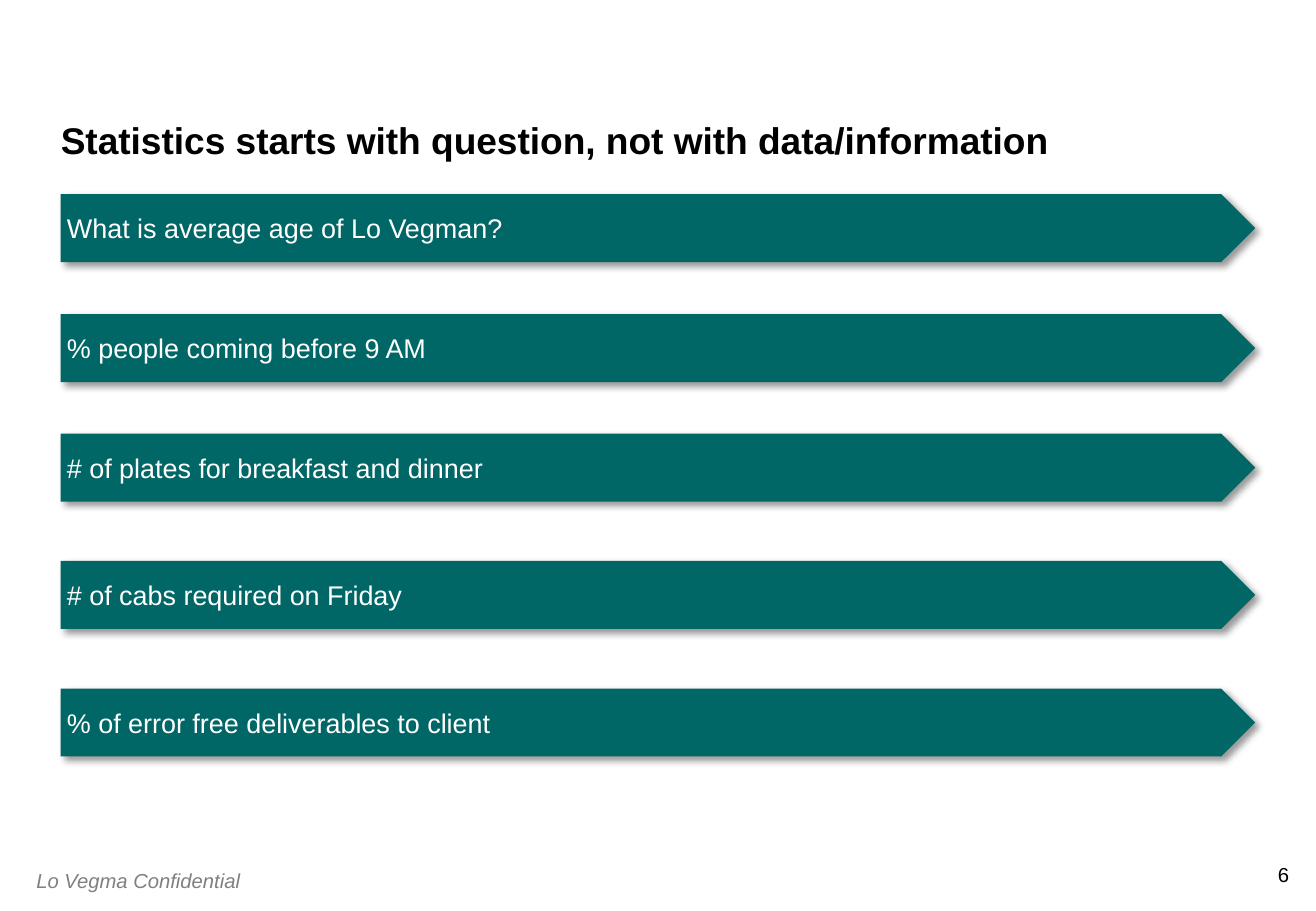
import pptx
import pptx.dml.color
import pptx.enum.shapes
import pptx.enum.text
import pptx.oxml
import pptx.oxml.ns
import pptx.util

Cm = pptx.util.Cm
RGBColor = pptx.dml.color.RGBColor
Align = pptx.enum.text.PP_ALIGN
Anchor = pptx.enum.text.MSO_ANCHOR

TEAL = RGBColor(0x00, 0x66, 0x66)
WHITE = RGBColor(0xFF, 0xFF, 0xFF)
BLACK = RGBColor(0x00, 0x00, 0x00)
GRAY = RGBColor(0x80, 0x80, 0x80)

SHADOW = (
    f'<a:outerShdw {pptx.oxml.ns.nsdecls("a")} blurRad="50800" dist="38100" '
    'dir="2700000" algn="tl" rotWithShape="0">'
    '<a:srgbClr val="000000"><a:alpha val="40000"/></a:srgbClr></a:outerShdw>'
)

LEFT, WIDTH, ARROW_HEIGHT = 1.27, 24.97, 1.42
QUESTIONS = [
    (4.06, "What is average age of Lo Vegman?"),
    (6.57, "% people coming before 9 AM"),
    (9.07, "# of plates for breakfast and dinner"),
    (11.73, "# of cabs required on Friday"),
    (14.4, "% of error free deliverables to client"),
]


class QuestionSlide:
    """Holds the text style and the slide being built."""

    font_name = "Arial"

    def __init__(self, presentation):
        """Add a title-only slide to the presentation."""
        self.slide = presentation.slides.add_slide(presentation.slide_layouts[5])

    def set_text(self, frame, text, size, color, align=Align.LEFT,
                 anchor=Anchor.TOP, inset=None, bold=False, italic=False):
        """Fill a text frame with one styled paragraph."""
        frame.text = text
        frame.word_wrap = True
        frame.auto_size = pptx.enum.text.MSO_AUTO_SIZE.NONE
        frame.vertical_anchor = anchor
        if inset is not None:
            frame.margin_left = frame.margin_right = Cm(inset)
            frame.margin_top = frame.margin_bottom = Cm(inset)
        paragraph = frame.paragraphs[0]
        paragraph.alignment = align
        font = paragraph.runs[0].font
        font.name = self.font_name
        font.size = pptx.util.Pt(size)
        font.color.rgb = color
        font.bold = bold
        font.italic = italic
        return paragraph

    def title(self, text):
        """Place and format the title."""
        heading = self.slide.shapes.title
        heading.left, heading.top = Cm(LEFT), Cm(1.07)
        heading.width, heading.height = Cm(WIDTH), Cm(2.34)
        paragraph = self.set_text(heading.text_frame, text, 22, BLACK,
                                  anchor=Anchor.BOTTOM, inset=0, bold=True)
        paragraph.line_spacing = 0.9
        paragraph.space_before = pptx.util.Pt(0)

    def arrow(self, top, question):
        """Add a shadowed arrow bar holding a question."""
        bar = self.slide.shapes.add_shape(
            pptx.enum.shapes.MSO_SHAPE.PENTAGON,
            Cm(LEFT), Cm(top), Cm(WIDTH), Cm(ARROW_HEIGHT))
        bar.fill.solid()
        bar.fill.fore_color.rgb = TEAL
        bar.line.fill.background()
        bar.shadow.inherit = False
        effects = bar._element.spPr.find(pptx.oxml.ns.qn("a:effectLst"))
        effects.append(pptx.oxml.parse_xml(SHADOW))
        self.set_text(bar.text_frame, question, 16, WHITE,
                      anchor=Anchor.MIDDLE, inset=0.13)

    def label(self, left, top, width, height, text, color, **style):
        """Add a small footer text."""
        box = self.slide.shapes.add_textbox(Cm(left), Cm(top), Cm(width), Cm(height))
        self.set_text(box.text_frame, text, 12, color, **style)


def main():
    """Build and save the presentation."""
    presentation = pptx.Presentation()
    presentation.slide_width = Cm(27.51)
    presentation.slide_height = Cm(19.05)
    page = QuestionSlide(presentation)
    page.title("Statistics starts with question, not with data/information")
    for top, question in QUESTIONS:
        page.arrow(top, question)
    page.label(0.51, 18.03, 5.08, 0.76, "Lo Vegma Confidential", GRAY, italic=True)
    page.label(26.42, 18.03, 0.53, 0.51, "6", BLACK, align=Align.RIGHT, inset=0)
    presentation.save("out.pptx")


if __name__ == "__main__":
    main()
